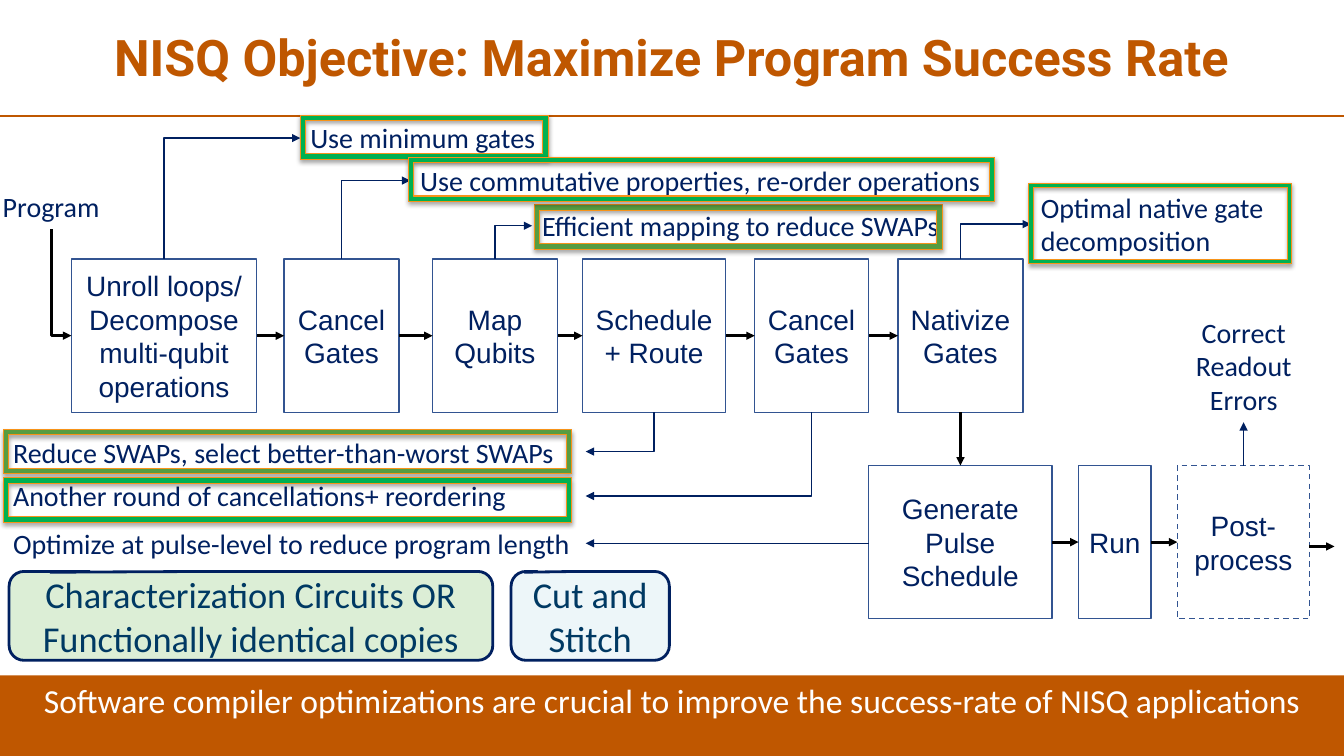
import lxml.etree
import pptx
import pptx.dml.color
import pptx.enum.dml
import pptx.enum.shapes
import pptx.enum.text
import pptx.oxml
import pptx.oxml.ns
import pptx.util

Cm, Pt = pptx.util.Cm, pptx.util.Pt
Preset = pptx.enum.shapes.MSO_SHAPE
Anchor = pptx.enum.text.MSO_ANCHOR
Align = pptx.enum.text.PP_ALIGN
qn = pptx.oxml.ns.qn

COLORS = {
    "orange": "BF5700", "white": "FFFFFF", "black": "000000", "navy": "002060",
    "border": "325491", "teal": "003963", "amber": "F79319", "moss": "579C41",
    "green": "00B050", "mint": "DCEED6", "ice": "EDF6F9",
}
WIDTH, HEIGHT = 33.87, 19.05
BOX_HEIGHT, NOTE_HEIGHT = 3.86, 1.12
COMPILE_TOP, EXECUTE_TOP = 6.53, 11.73


class Page:
    """Draws styled elements on the current slide, with lengths in centimetres."""

    def __init__(self, deck):
        self.slide = deck.slides.add_slide(deck.slide_layouts[5])
        self.shapes = self.slide.shapes

    def color(self, name):
        return pptx.dml.color.RGBColor.from_string(COLORS[name])

    def set_text(self, shape, text, size, font="Calibri", color="navy",
                 align=Align.LEFT, anchor=Anchor.TOP, bold=False):
        frame = shape.text_frame
        frame.text = text
        frame.word_wrap = True
        frame.auto_size = pptx.enum.text.MSO_AUTO_SIZE.NONE
        frame.vertical_anchor = anchor
        for para in frame.paragraphs:
            para.alignment = align
            for span in para.runs:
                span.font.size = Pt(size)
                span.font.name = font
                span.font.bold = bold
                span.font.color.rgb = self.color(color)

    def title(self, text, left, top, width, height):
        title = self.shapes.title
        title.left, title.top = Cm(left), Cm(top)
        title.width, title.height = Cm(width), Cm(height)
        self.set_text(title, text, 36, "Roboto", "orange", Align.CENTER, Anchor.MIDDLE, True)
        title.text_frame.paragraphs[0].line_spacing = 0.9

    def shape(self, preset, left, top, width, height, fill, line=None, weight=1):
        shape = self.shapes.add_shape(preset, Cm(left), Cm(top), Cm(width), Cm(height))
        shape.shadow.inherit = False
        shape.fill.solid()
        shape.fill.fore_color.rgb = self.color(fill)
        if line:
            shape.line.color.rgb = self.color(line)
            shape.line.width = Pt(weight)
        else:
            shape.line.fill.background()
        return shape

    def banner(self, text, top):
        shape = self.shape(Preset.RECTANGLE, 0, top, WIDTH, HEIGHT - top, "orange")
        self.set_text(shape, text, 24, color="white", align=Align.CENTER)

    def box(self, text, left, top, width, dashed=False):
        shape = self.shape(Preset.RECTANGLE, left, top, width, BOX_HEIGHT, "white", "border")
        if dashed:
            shape.line.dash_style = pptx.enum.dml.MSO_LINE.DASH
        self.set_text(shape, text, 20, "Arial", align=Align.CENTER, anchor=Anchor.MIDDLE)

    def callout(self, text, left, width, fill):
        shape = self.shape(Preset.ROUNDED_RECTANGULAR_CALLOUT, left, 14.4, width, 2.24,
                           fill, "navy", 2)
        for index, value in enumerate((-0.415, -0.491, 0.167)):
            shape.adjustments[index] = value
        self.set_text(shape, text, 26, color="teal", align=Align.CENTER, anchor=Anchor.MIDDLE)

    def note(self, text, left, top, width, height=NOTE_HEIGHT, align=Align.LEFT):
        shape = self.shapes.add_textbox(Cm(left), Cm(top), Cm(width), Cm(height))
        self.set_text(shape, text, 20, align=align)

    def highlight(self, left, top, width, fill, height=NOTE_HEIGHT, thickness=0.125):
        shape = self.shape(Preset.FRAME, left, top, width, height, fill, "amber", 0.75)
        shape.adjustments[0] = thickness
        effects = shape._element.spPr.find(qn("a:effectLst"))
        shadow = lxml.etree.SubElement(effects, qn("a:outerShdw"), blurRad=str(Pt(3.1)),
                                       dist=str(Pt(1.8)), dir="5400000", rotWithShape="0")
        tint = lxml.etree.SubElement(shadow, qn("a:srgbClr"), val=COLORS["black"])
        lxml.etree.SubElement(tint, qn("a:alpha"), val="35000")

    def line(self, tip, start, color, weight, arrow=True):
        bent = tip[0] != start[0] and tip[1] != start[1]
        kinds = pptx.enum.shapes.MSO_CONNECTOR
        line = self.shapes.add_connector(kinds.ELBOW if bent else kinds.STRAIGHT,
                                         *map(Cm, tip + start))
        properties = line._element.spPr
        if bent:
            properties.find(qn("a:prstGeom")).set("prst", "bentConnector2")
        line.line.color.rgb = self.color(color)
        line.line.width = Pt(weight)
        if arrow:
            lxml.etree.SubElement(properties.find(qn("a:ln")), qn("a:headEnd"), type="triangle")
        lxml.etree.SubElement(properties, qn("a:effectLst"))

    def flow(self, steps, top):
        """Draws a row of boxes joined by arrows."""
        middle = top + BOX_HEIGHT / 2
        for text, left, width in steps:
            self.box(text, left, top, width, dashed=text == "Post-process")
        for (_, left, width), (_, following, _) in zip(steps, steps[1:]):
            self.line((following, middle), (left + width, middle), "black", 2)


def main():
    deck = pptx.Presentation()
    deck.slide_width, deck.slide_height = Cm(WIDTH), Cm(HEIGHT)
    page = Page(deck)

    page.title("NISQ Objective: Maximize Program Success Rate", 0.23, 0.1, 33.4, 2.82)
    page.line((0, 2.92), (WIDTH, 2.92), "orange", 1.5, arrow=False)
    page.banner("Software compiler optimizations are crucial to improve the "
                "success-rate of NISQ applications", 17.02)

    compile_steps = [
        ("Unroll loops/ Decompose multi-qubit operations", 1.8, 4.67),
        ("Cancel\nGates", 7.16, 2.9),
        ("Map\nQubits", 10.9, 3.15),
        ("Schedule + Route", 14.68, 3.61),
        ("Cancel\nGates", 19.02, 2.87),
        ("Nativize\nGates", 22.63, 3.15),
    ]
    execute_steps = [
        ("Generate Pulse Schedule", 21.89, 4.62),
        ("Run", 27.18, 1.83),
        ("Post-process", 29.67, 3.33),
    ]
    page.flow(compile_steps, COMPILE_TOP)
    page.flow(execute_steps, EXECUTE_TOP)
    unroll, cancel, qubits, route, recancel, nativize = [
        left + width / 2 for _, left, width in compile_steps]
    compile_bottom = COMPILE_TOP + BOX_HEIGHT

    page.note("Program", -0.18, 4.65, 2.97)
    page.line((1.8, COMPILE_TOP + BOX_HEIGHT / 2), (1.3, 5.77), "black", 2)
    page.line((nativize, EXECUTE_TOP), (nativize, compile_bottom), "black", 2)
    page.line((33.63, 13.77), (33, 13.77), "black", 2)

    upper_notes = [
        ("Use minimum gates", 7.57, 2.92, 6.25, NOTE_HEIGHT, unroll),
        ("Use commutative properties, re-order operations", 10.34, 3.99, 14.78,
         NOTE_HEIGHT, cancel),
        ("Efficient mapping to reduce SWAPs", 13.41, 5.13, 10.62, NOTE_HEIGHT, qubits),
        ("Optimal native gate decomposition", 25.98, 4.67, 7.37, 1.96, nativize),
    ]
    for text, left, top, width, height, source in upper_notes:
        page.note(text, left, top, width, height)
        page.line((left, top + height / 2), (source, COMPILE_TOP), "navy", 1)

    pulse_y = 13.69
    lower_notes = [
        ("Reduce SWAPs, select better-than-worst SWAPs", 10.85, 11.38, (route, compile_bottom)),
        ("Another round of cancellations+ reordering", 11.94, 12.5, (recancel, compile_bottom)),
        ("Optimize at pulse-level to reduce program length", 13.13, pulse_y, (21.89, pulse_y)),
    ]
    for text, top, tip_y, start in lower_notes:
        page.note(text, 0.08, top, 14.68)
        page.line((14.76, tip_y), start, "navy", 1)

    page.note("Correct Readout Errors", 29.62, 7.82, 3.45, 2.82, Align.CENTER)
    page.line((31.34, 10.64), (31.34, EXECUTE_TOP), "navy", 1)

    page.highlight(13.46, 5.16, 10.29, "moss")
    page.highlight(0.08, 10.82, 14.33, "moss")
    page.highlight(7.57, 2.9, 6.25, "green")
    page.highlight(10.29, 3.96, 14.78, "green")
    page.highlight(0.08, 12.04, 14.33, "green")
    page.highlight(25.93, 4.62, 6.63, "green", 2.03, 0.057)

    page.callout("Characterization Circuits OR Functionally identical copies", 0.23, 12.19, "mint")
    page.callout("Cut and Stitch", 12.88, 3.99, "ice")
    deck.save("out.pptx")


if __name__ == "__main__":
    main()
